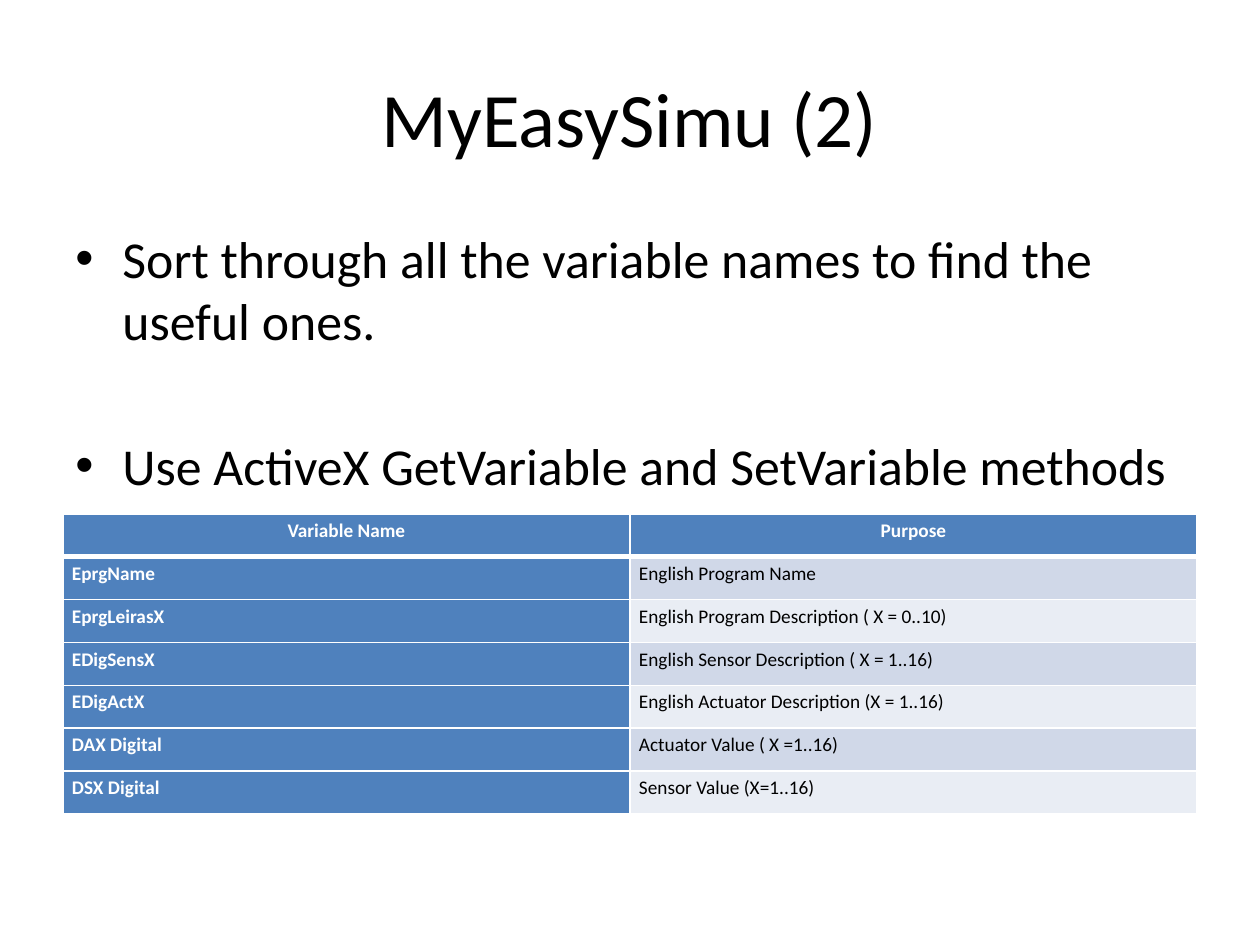
from lxml import etree
from pptx import Presentation
from pptx.dml.color import RGBColor
from pptx.enum.text import MSO_ANCHOR, PP_ALIGN
from pptx.oxml.ns import qn
from pptx.util import Cm, Pt

CENTER, LEFT = PP_ALIGN.CENTER, PP_ALIGN.LEFT
MIDDLE, TOP = MSO_ANCHOR.MIDDLE, MSO_ANCHOR.TOP

# Content
HEADING = "MyEasySimu (2)"
ADVICE = [
    "Sort through all the variable names to find the useful ones.",
    "Use ActiveX GetVariable and SetVariable methods",
]
VARIABLES = [
    ("Variable Name", "Purpose"),
    ("EprgName", "English Program Name"),
    ("EprgLeirasX", "English Program Description ( X = 0..10)"),
    ("EDigSensX", "English Sensor Description ( X = 1..16)"),
    ("EDigActX", "English Actuator Description (X = 1..16)"),
    ("DAX Digital", "Actuator Value ( X =1..16)"),
    ("DSX Digital", "Sensor Value (X=1..16)"),
]

THEME = {
    "font": "Calibri",
    "heading_size": 44, "advice_size": 29.6, "table_size": 11,
    "text": "000000", "rule": "FFFFFF", "header_text": "FFFFFF",
    "header": "4F81BD", "bands": ("D0D8E8", "E9EDF4"),
}

# Layout in centimetres
MARGIN, WIDTH = 1.27, 22.86
TABLE_TOP, TABLE_HEIGHT = 10.36, 6.05
HANGING = 0.95


def apply(target, settings):
    for attribute, value in settings.items():
        setattr(target, attribute, value)


def write(paragraph, text, size, color, bold=False, **settings):
    run = paragraph.add_run()
    run.text = text
    apply(run.font, {"name": THEME["font"], "size": Pt(size), "bold": bold})
    run.font.color.rgb = RGBColor.from_string(color)
    apply(paragraph, settings)


def add_frame(slide, top, height, anchor):
    frame = slide.shapes.add_textbox(Cm(MARGIN), Cm(top), Cm(WIDTH), Cm(height)).text_frame
    apply(frame, {"word_wrap": True, "vertical_anchor": anchor, "margin_right": 0 if anchor == TOP else Cm(0.25)})
    return frame


def add_bullet(paragraph):
    properties = paragraph._p.get_or_add_pPr()
    properties.set("marL", str(Cm(HANGING)))
    properties.set("indent", str(-Cm(HANGING)))
    etree.SubElement(properties, qn("a:buFont")).set("typeface", "Arial")
    etree.SubElement(properties, qn("a:buChar")).set("char", "•")


def rule_cell(cell, widths):
    properties = cell._tc.get_or_add_tcPr()
    for position, (side, width) in enumerate(widths.items()):
        line = etree.Element(qn(f"a:{side}"), w=str(Pt(width)))
        fill = etree.SubElement(line, qn("a:solidFill"))
        etree.SubElement(fill, qn("a:srgbClr")).set("val", THEME["rule"])
        properties.insert(position, line)


def add_variables(slide):
    rows, columns = len(VARIABLES), len(VARIABLES[0])
    table = slide.shapes.add_table(
        rows, columns, Cm(MARGIN), Cm(TABLE_TOP), Cm(WIDTH), Cm(TABLE_HEIGHT)).table
    for r, entry in enumerate(VARIABLES):
        for c, text in enumerate(entry):
            is_header = r == 0 or c == 0
            cell = table.cell(r, c)
            apply(cell, {"margin_left": Cm(0.18), "margin_right": Cm(0.18),
                         "margin_top": 0, "margin_bottom": 0})
            cell.fill.solid()
            cell.fill.fore_color.rgb = RGBColor.from_string(
                THEME["header"] if is_header else THEME["bands"][(r - 1) % 2])
            write(cell.text_frame.paragraphs[0], text, THEME["table_size"],
                  THEME["header_text"] if is_header else THEME["text"], is_header,
                  alignment=CENTER if r == 0 else LEFT, line_spacing=Pt(16.5))
            # The rule below the header row is heavier
            rule_cell(cell, {"lnL": 1, "lnR": 1, "lnT": 3 if r == 1 else 1,
                             "lnB": 3 if r == 0 else 1})


def main():
    deck = Presentation()
    apply(deck, {"slide_width": Cm(25.4), "slide_height": Cm(19.05)})
    slide = deck.slides.add_slide(deck.slide_layouts[6])

    # Heading
    heading = add_frame(slide, 0.76, 3.18, MIDDLE)
    write(heading.paragraphs[0], HEADING, THEME["heading_size"], THEME["text"], alignment=CENTER)

    # Advice, with a wide gap between the points
    advice = add_frame(slide, 4.45, 5.08, TOP)
    for i, text in enumerate(ADVICE):
        point = advice.add_paragraph() if i else advice.paragraphs[0]
        write(point, text, THEME["advice_size"], THEME["text"],
              space_before=Pt(47 if i else 6))
        add_bullet(point)

    # Variables table
    add_variables(slide)
    deck.save("out.pptx")


if __name__ == "__main__":
    main()
